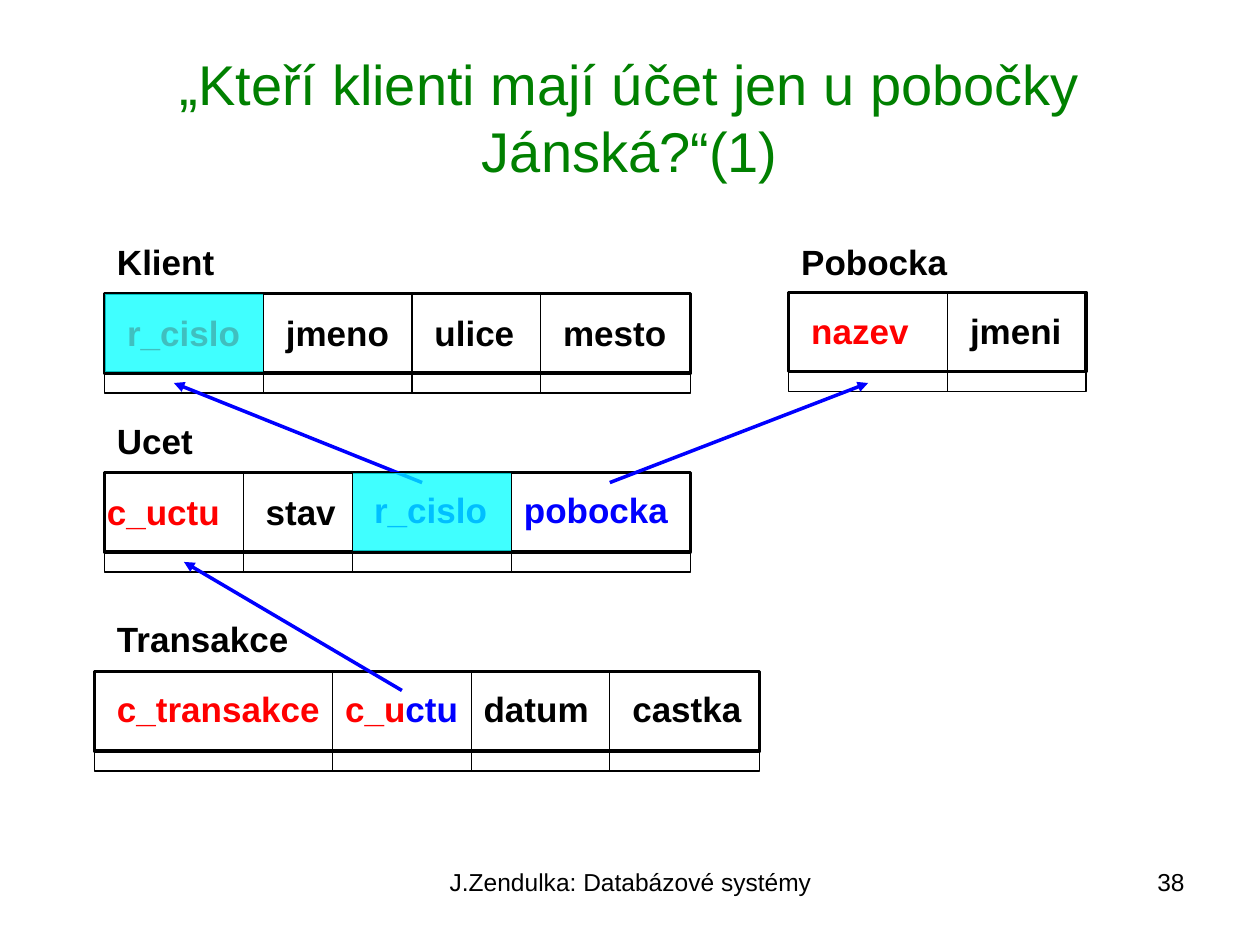
from dataclasses import dataclass

from lxml.etree import SubElement
from pptx import Presentation
from pptx.dml.color import RGBColor
from pptx.enum.shapes import MSO_CONNECTOR, MSO_SHAPE
from pptx.enum.text import MSO_ANCHOR, PP_ALIGN
from pptx.oxml.ns import qn
from pptx.util import Inches, Pt


@dataclass(frozen=True)
class Theme:
    font: str = "Arial"
    ink: RGBColor = RGBColor(0, 0, 0)
    title: RGBColor = RGBColor(0, 0x80, 0)
    key: RGBColor = RGBColor(0xFF, 0, 0)
    reference: RGBColor = RGBColor(0, 0, 0xFF)
    highlight: RGBColor = RGBColor(0, 0xFF, 0xFF)
    title_size: int = 32
    label_size: int = 20
    footer_size: int = 14
    thick: float = 2
    thin: float = 0.75


THEME = Theme()
HEADER_HEIGHT = 0.63
ROW_HEIGHT = 0.16
LABEL_HEIGHT = 0.44

INK, KEY, REF = THEME.ink, THEME.key, THEME.reference

# Relation: name, name box (left, top, width), header (left, top, width),
# column dividers, attributes as (left, top, width, coloured runs)
RELATIONS = [
    ("Klient", (0.83, 1.86, 1.02), (0.83, 2.33, 4.65), (2.09, 3.27, 4.29), [
        (0.91, 2.42, 1.09, [("r_cislo", KEY)]),
        (2.17, 2.42, 1.02, [("jmeno", INK)]),
        (3.35, 2.42, 0.83, [("ulice", INK)]),
        (4.37, 2.42, 1.02, [("mesto", INK)]),
    ]),
    ("Pobocka", (6.26, 1.86, 1.42), (6.26, 2.32, 2.36), (7.52,), [
        (6.34, 2.41, 0.97, [("nazev", KEY)]),
        (7.6, 2.41, 0.92, [("jmeni", INK)]),
    ]),
    ("Ucet", (0.83, 3.28, 0.87), (0.83, 3.75, 4.65), (1.93, 2.8, 4.06), [
        (0.75, 3.84, 1.09, [("c_uctu", KEY)]),
        (2.01, 3.84, 0.75, [("stav", INK)]),
        (2.87, 3.83, 1.09, [("r_cislo", REF)]),
        (4.06, 3.83, 1.34, [("pobocka", REF)]),
    ]),
    ("Transakce", (0.83, 4.85, 1.65), (0.75, 5.33, 5.28), (2.64, 3.74, 4.84), [
        (0.83, 5.41, 1.81, [("c_transakce", KEY)]),
        (2.64, 5.41, 1.09, [("c_u", KEY), ("ctu", REF)]),
        (3.74, 5.41, 1.03, [("datum", INK)]),
        (4.92, 5.41, 1.06, [("castka", INK)]),
    ]),
]
REFERENCES = [
    ((3.19, 5.48), (1.46, 4.46)),
    ((3.35, 3.83), (1.38, 3.04)),
    ((4.84, 3.83), (6.89, 3.04)),
]
JOIN_COLUMNS = [(2.8, 3.75), (0.83, 2.33)]
JOIN_WIDTH = 1.26


def add_text(slide, box, runs, size, align=PP_ALIGN.LEFT, bold=False, **frame_format):
    text_box = slide.shapes.add_textbox(*map(Inches, box))
    frame = text_box.text_frame
    for name, value in {"word_wrap": True, **frame_format}.items():
        setattr(frame, name, value)
    paragraph = frame.paragraphs[0]
    paragraph.alignment = align
    for words, color in runs:
        run = paragraph.add_run()
        run.text = words
        font_format = {"name": THEME.font, "size": Pt(size), "bold": bold}
        for name, value in font_format.items():
            setattr(run.font, name, value)
        run.font.color.rgb = color


def add_label(slide, left, top, width, runs):
    """Bold one-line label; no right inset, so that the tight box never wraps."""
    add_text(slide, (left, top, width, LABEL_HEIGHT), runs, THEME.label_size,
             bold=True, margin_right=0)


def add_frame(slide, box, weight):
    frame = slide.shapes.add_shape(MSO_SHAPE.RECTANGLE, *map(Inches, box))
    frame.shadow.inherit = False
    frame.fill.background()
    frame.line.color.rgb = THEME.ink
    frame.line.width = Pt(weight)
    return frame


def add_line(slide, start, end, color, weight):
    line = slide.shapes.add_connector(
        MSO_CONNECTOR.STRAIGHT, *map(Inches, (*start, *end)))
    line.line.color.rgb = color
    line.line.width = Pt(weight)
    SubElement(line._element.spPr, qn("a:effectLst"))
    return line


def add_reference(slide, start, end):
    """Arrow from a foreign key to the key it refers to."""
    arrow = add_line(slide, start, end, THEME.reference, THEME.thick)
    SubElement(arrow.line._get_or_add_ln(), qn("a:tailEnd"), type="triangle")


def add_highlight(slide, left, top):
    """Translucent cover over a column used in the join."""
    cover = add_frame(slide, (left, top, JOIN_WIDTH, HEADER_HEIGHT), THEME.thin)
    cover.fill.solid()
    cover.fill.fore_color.rgb = THEME.highlight
    color = cover._element.spPr.find(qn("a:solidFill"))[0]
    SubElement(color, qn("a:alpha"), val="75000")


def add_relation(slide, name, name_box, header, dividers, attributes):
    left, top, width = header
    row_top = top + HEADER_HEIGHT
    add_frame(slide, (left, top, width, HEADER_HEIGHT), THEME.thick)
    add_frame(slide, (left, row_top, width, ROW_HEIGHT), THEME.thin)
    for attribute in attributes:
        add_label(slide, *attribute)
    for x in dividers:
        add_line(slide, (x, top), (x, row_top + ROW_HEIGHT), THEME.ink, THEME.thin)
    add_label(slide, *name_box, [(name, THEME.ink)])


def main():
    deck = Presentation()
    deck.slide_width, deck.slide_height = Inches(10), Inches(7.5)
    slide = deck.slides.add_slide(deck.slide_layouts[6])

    add_text(slide, (3.42, 6.83, 3.17, 0.52),
             [("J.Zendulka: Databázové systémy", THEME.ink)],
             THEME.footer_size, PP_ALIGN.CENTER)
    add_text(slide, (7.17, 6.83, 2.33, 0.52), [("38", THEME.ink)],
             THEME.footer_size, PP_ALIGN.RIGHT)
    add_text(slide, (0.5, 0.3, 9, 1.25),
             [("„Kteří klienti mají účet jen u pobočky Jánská?“(1)", THEME.title)],
             THEME.title_size, PP_ALIGN.CENTER, vertical_anchor=MSO_ANCHOR.MIDDLE)

    for relation in RELATIONS:
        add_relation(slide, *relation)
    for start, end in REFERENCES:
        add_reference(slide, start, end)
    for left, top in JOIN_COLUMNS:
        add_highlight(slide, left, top)

    deck.save("out.pptx")


if __name__ == "__main__":
    main()
